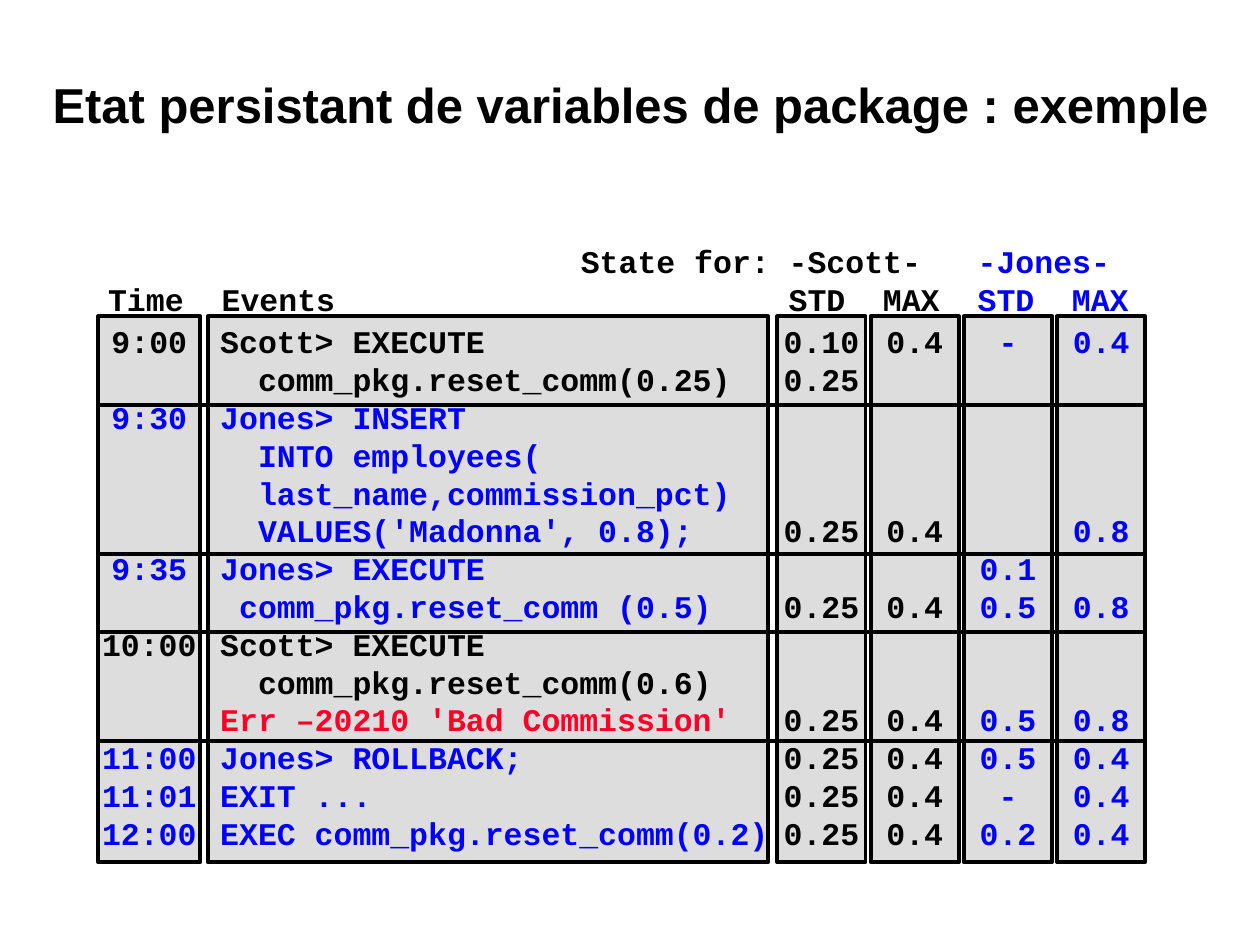
from dataclasses import dataclass

import pptx
import pptx.dml.color
import pptx.enum.shapes
import pptx.enum.text
import pptx.oxml.ns
import pptx.util
from lxml import etree

Cm = pptx.util.Cm
Pt = pptx.util.Pt
ALIGN = pptx.enum.text.PP_ALIGN


@dataclass(frozen=True)
class Theme:
    black: str = "000000"
    blue: str = "0000FF"
    red: str = "FC0128"
    panel: str = "DDDDDD"
    title_font: str = "Arial"
    code_font: str = "Courier New"
    title_size: float = 28
    code_size: float = 18
    line_height: float = 21.6
    line_width: float = 2.25


THEME = Theme()
SCOTT, JONES, ERROR = THEME.black, THEME.blue, THEME.red

# Each entry: (line number in the panel, text, colour); "\n" breaks the line.
TIMES = [(0, "9:00", SCOTT), (2, "9:30", JONES), (6, "9:35", JONES),
         (8, "10:00", SCOTT), (11, "11:00", JONES), (12, "11:01", JONES),
         (13, "12:00", JONES)]
EVENTS = [
    (0, "Scott> EXECUTE", SCOTT),
    (1, "  comm_pkg.reset_comm(0.25)", SCOTT),
    (2, "Jones> INSERT", JONES),
    (3, "  INTO employees(\n  last_name,commission_pct)\n"
        "  VALUES('Madonna', 0.8);", JONES),
    (6, "Jones> EXECUTE", JONES),
    (7, " comm_pkg.reset_comm (0.5)", JONES),
    (8, "Scott> EXECUTE", SCOTT),
    (9, "  comm_pkg.reset_comm(0.6)", SCOTT),
    (10, "Err –20210 'Bad Commission'", ERROR),
    (11, "Jones> ROLLBACK;", JONES),
    (12, "EXIT ...", JONES),
    (13, "EXEC comm_pkg.reset_comm(0.2)", JONES),
]
STATES = [
    (SCOTT, {0: "0.10", 1: "0.25", 5: "0.25", 7: "0.25", 10: "0.25",
             11: "0.25", 12: "0.25", 13: "0.25"}),
    (SCOTT, {line: "0.4" for line in (0, 5, 7, 10, 11, 12, 13)}),
    (JONES, {0: "-", 6: "0.1", 7: "0.5", 10: "0.5", 11: "0.5", 12: "-",
             13: "0.2"}),
    (JONES, {0: "0.4", 5: "0.8", 7: "0.8", 10: "0.8", 11: "0.4", 12: "0.4",
             13: "0.4"}),
]
HEADER_LINES = [
    ([2, 3, 5], [("\tState for:\t-Scott-", SCOTT), ("\t-Jones-", JONES)]),
    ([1, 3, 4, 5, 6], [("Time\tEvents\tSTD\tMAX", SCOTT),
                       ("\tSTD\tMAX", JONES)]),
]
# Tab positions in cm, by number; a character is 0.38 cm wide.
HEADER_TABS = {1: 2.29, 2: 9.53, 3: 13.72, 4: 15.62, 5: 17.53, 6: 19.43}


def rgb(value):
    return pptx.dml.color.RGBColor.from_string(value)


def set_attributes(target, values):
    for name, value in values.items():
        setattr(target, name, value)


def set_frame(frame, left=0.0, top=0.0, wrap=True):
    set_attributes(frame, {
        "margin_left": Cm(left), "margin_top": Cm(top),
        "margin_right": Cm(0), "margin_bottom": Cm(0),
        "word_wrap": wrap,
        "auto_size": pptx.enum.text.MSO_AUTO_SIZE.NONE,
        "vertical_anchor": pptx.enum.text.MSO_ANCHOR.TOP,
    })


def add_run(paragraph, text, color, font=THEME.code_font,
            size=THEME.code_size):
    run = paragraph.add_run()
    run.text = text
    set_attributes(run.font, {"name": font, "size": Pt(size), "bold": True})
    run.font.color.rgb = rgb(color)


def next_paragraph(frame, index):
    return frame.add_paragraph() if index else frame.paragraphs[0]


def add_tabs(paragraph, positions):
    properties = paragraph._p.get_or_add_pPr()
    tabs = etree.SubElement(properties, pptx.oxml.ns.qn("a:tabLst"))
    for position in positions:
        etree.SubElement(tabs, pptx.oxml.ns.qn("a:tab"),
                         pos=str(int(Cm(position))), algn="l")


def place_title(slide, left, top, width, height):
    title = slide.shapes.title
    set_attributes(title, {"left": Cm(left), "top": Cm(top),
                           "width": Cm(width), "height": Cm(height)})
    set_frame(title.text_frame, top=0.04)
    paragraph = title.text_frame.paragraphs[0]
    set_attributes(paragraph, {"alignment": ALIGN.CENTER, "line_spacing": 1.0,
                               "space_before": Pt(0)})
    add_run(paragraph, "Etat persistant de variables de package : exemple",
            THEME.black, THEME.title_font, THEME.title_size)


def add_header(slide, left, top, width, height):
    box = slide.shapes.add_textbox(Cm(left), Cm(top), Cm(width), Cm(height))
    set_frame(box.text_frame)
    for index, (tabs, runs) in enumerate(HEADER_LINES):
        paragraph = next_paragraph(box.text_frame, index)
        add_tabs(paragraph, [HEADER_TABS[tab] for tab in tabs])
        set_attributes(paragraph, {"alignment": ALIGN.LEFT,
                                   "line_spacing": Pt(THEME.line_height)})
        for text, color in runs:
            add_run(paragraph, text, color)


def add_column(slide, left, top, width, height, entries,
               alignment=ALIGN.CENTER, inset=0.0):
    """Draw one panel; entries skip lines by spacing before the paragraph."""
    shape = slide.shapes.add_shape(
        pptx.enum.shapes.MSO_SHAPE.RECTANGLE,
        Cm(left), Cm(top), Cm(width), Cm(height))
    shape.shadow.inherit = False
    shape.fill.solid()
    shape.fill.fore_color.rgb = rgb(THEME.panel)
    shape.line.color.rgb = rgb(THEME.black)
    shape.line.width = Pt(THEME.line_width)
    set_frame(shape.text_frame, left=inset, top=0.12, wrap=False)
    next_line = 0
    for index, (line, text, color) in enumerate(entries):
        paragraph = next_paragraph(shape.text_frame, index)
        set_attributes(paragraph, {
            "alignment": alignment,
            "line_spacing": Pt(THEME.line_height),
            "space_before": Pt((line - next_line) * THEME.line_height),
        })
        parts = text.split("\n")
        for number, part in enumerate(parts):
            if number:
                paragraph.add_line_break()
            add_run(paragraph, part, color)
        next_line = line + len(parts)


def add_divider(slide, left, right, y):
    connector = slide.shapes.add_connector(
        pptx.enum.shapes.MSO_CONNECTOR.STRAIGHT,
        Cm(left), Cm(y), Cm(right), Cm(y))
    connector.line.color.rgb = rgb(THEME.black)
    connector.line.width = Pt(THEME.line_width)
    etree.SubElement(connector._element.spPr,
                     pptx.oxml.ns.qn("a:effectLst"))


def add_timeline(slide, left, top, width, height):
    add_column(slide, left + 2.21, top, 11.3, height, EVENTS, ALIGN.LEFT, 0.25)
    add_column(slide, left, top, 2.06, height, TIMES)
    state_width, state_pitch = 1.78, 1.88
    first_state = left + width - state_width - 3 * state_pitch
    for index, (color, values) in enumerate(STATES):
        entries = [(line, text, color) for line, text in values.items()]
        add_column(slide, first_state + index * state_pitch, top,
                   state_width, height, entries)
    for offset in (1.78, 4.79, 6.36, 8.56):
        add_divider(slide, left, left + width, top + offset)


def main():
    presentation = pptx.Presentation()
    presentation.slide_width = Cm(25.4)
    presentation.slide_height = Cm(19.05)
    slide = presentation.slides.add_slide(presentation.slide_layouts[5])
    place_title(slide, 0.43, 1.47, 24.56, 2.44)
    add_header(slide, 2.18, 4.88, 20.75, 1.6)
    add_timeline(slide, 1.98, 6.38, 21.11, 11)
    presentation.save("out.pptx")


if __name__ == "__main__":
    main()
